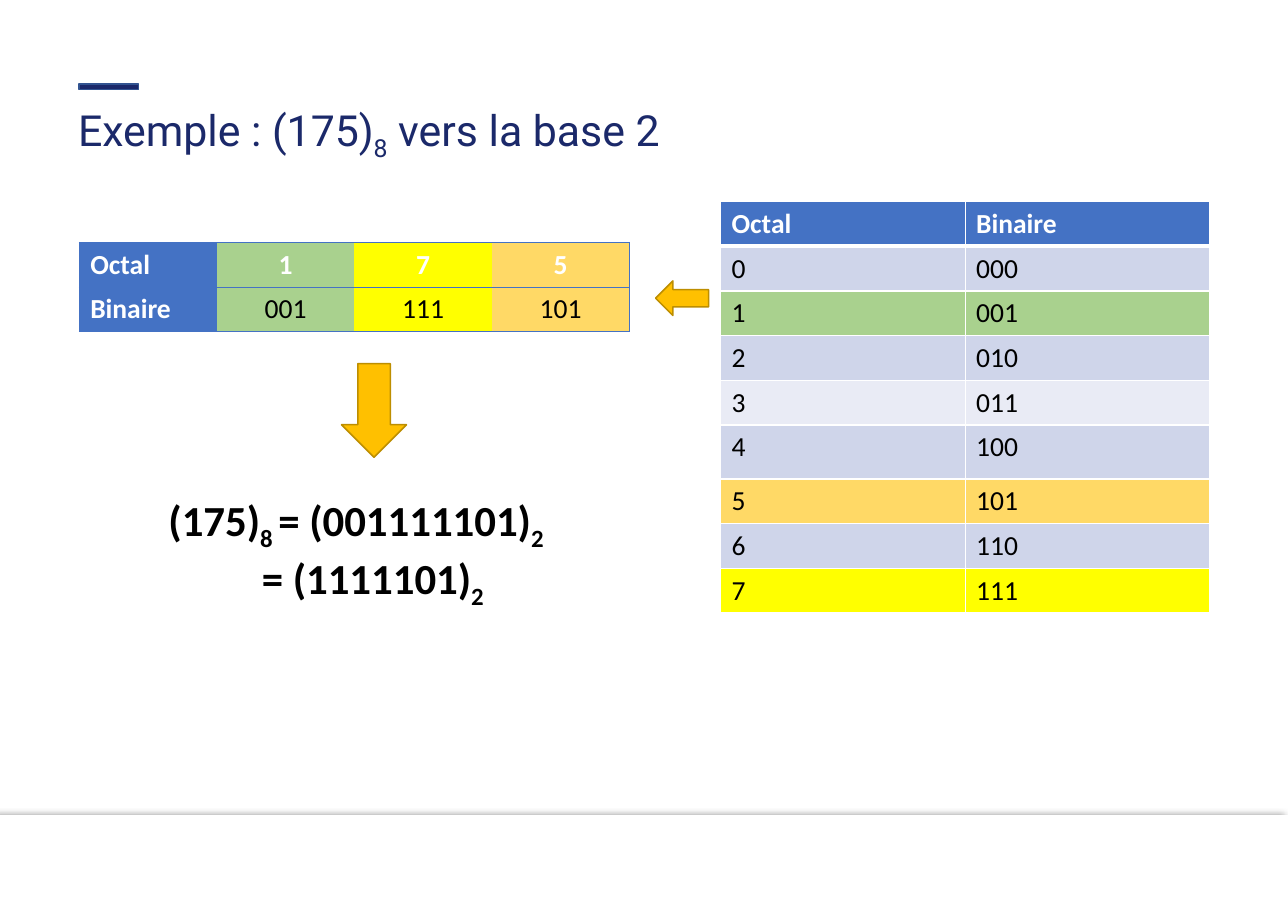
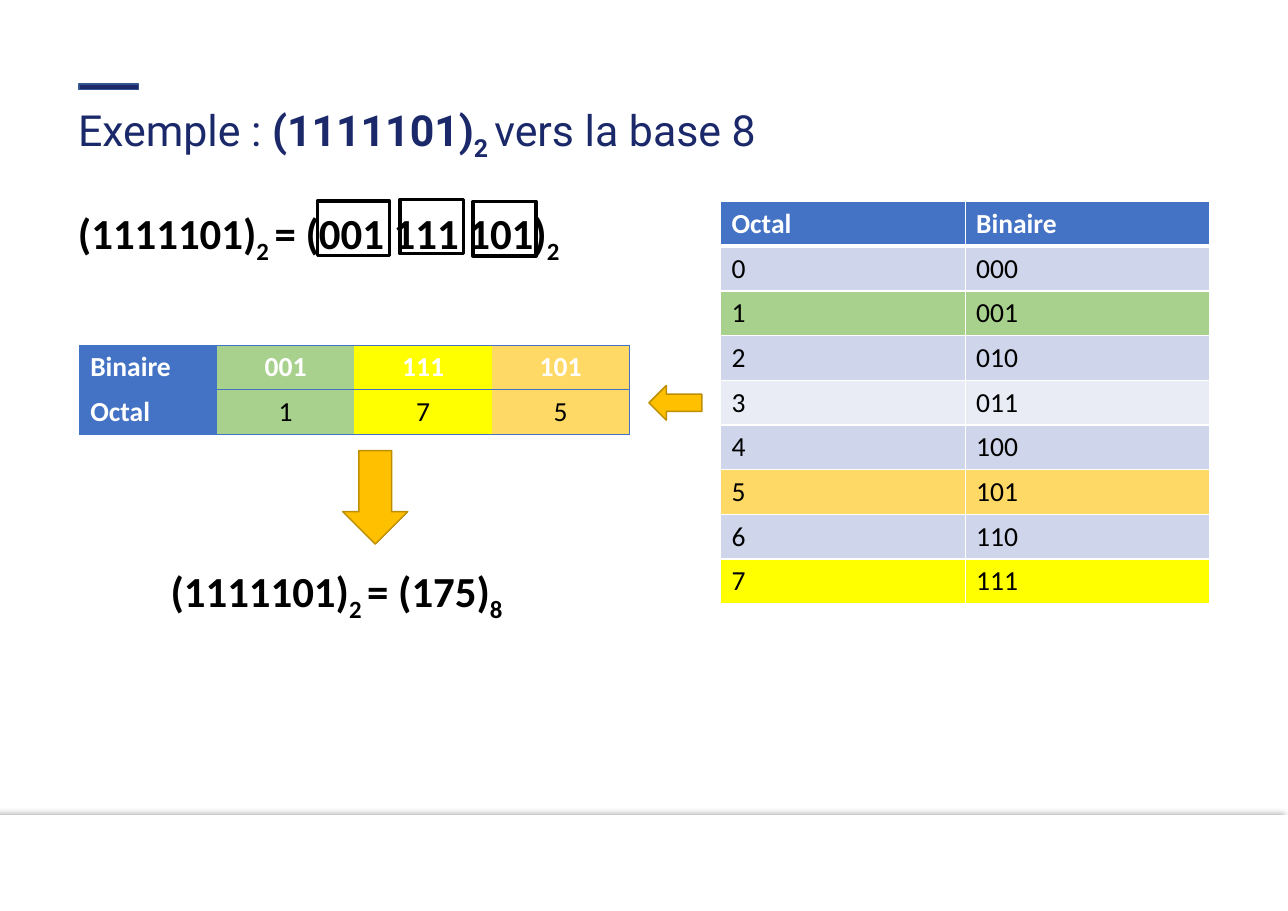
from dataclasses import dataclass

from pptx import Presentation
from pptx.dml.color import RGBColor as RGB
from pptx.enum.shapes import MSO_SHAPE as Form
from pptx.enum.text import PP_ALIGN as Align
from pptx.oxml import parse_xml
from pptx.oxml.ns import nsdecls
from pptx.util import Pt


@dataclass(frozen=True)
class Theme:
    navy: str = "1B296A"
    rim: str = "325491"
    blue: str = "4472C4"
    amber: str = "FFC000"
    brown: str = "BD8E00"
    white: str = "FFFFFF"
    black: str = "000000"
    bands: tuple = ("CFD5EA", "E9EBF5")
    marks: tuple = ((1, "A9D18E"), (7, "FFFF00"), (5, "FFD966"))
    head: str = "Roboto"
    body: str = "Calibri"
    big: int = 28
    mid: int = 18


T = Theme()
MARKS = dict(T.marks)
WIDE, HIGH = 841.68, 595.44
ROW = 29.2
PLAIN = "{2D5ABB26-0587-4C30-8999-92F81FD0307C}"
SHADE = (
    f'<a:effectLst {nsdecls("a")}><a:outerShdw blurRad="{Pt(4)}" dist="{Pt(3)}"'
    ' dir="10800000" algn="ctr" rotWithShape="0"><a:srgbClr val="000000">'
    '<a:alpha val="40000"/></a:srgbClr></a:outerShdw></a:effectLst>'
)


def rgb(code):
    return RGB.from_string(code)


def bits(digit):
    return format(digit, "03b")


def write(frame, text, size=T.big, font=T.body, color=T.black, bold=False,
          align=Align.LEFT, indent=0, lead=None, before=None):
    """Fill a text frame: *...* flips bold, _..._ is subscript.

    The indent moves every paragraph after the first.
    """
    frame.word_wrap = True
    for row, line in enumerate(text.split("\n")):
        par = frame.add_paragraph() if row else frame.paragraphs[0]
        par.alignment, par.line_spacing, par.space_before = align, lead, before
        if row and indent:
            par._p.get_or_add_pPr().set("marL", str(Pt(indent)))
        for turn, part in enumerate(line.split("*")):
            for low, piece in enumerate(part.split("_")):
                if not piece:
                    continue
                run = par.add_run()
                run.text = piece
                run.font.size, run.font.name = Pt(size), font
                run.font.color.rgb = rgb(color)
                run.font.bold = bold != bool(turn % 2)
                if low % 2:
                    run.font._element.set("baseline", "-25000")


def label(slide, box, text, **look):
    frame = slide.shapes.add_textbox(*map(Pt, box)).text_frame
    write(frame, text, **look)
    return frame


def shape(slide, form, box, fill=None, line=None, width=1, turn=0):
    item = slide.shapes.add_shape(form, *map(Pt, box))
    item.shadow.inherit = False
    item.rotation = turn
    if fill:
        item.fill.solid()
        item.fill.fore_color.rgb = rgb(fill)
    else:
        item.fill.background()
    if line:
        item.line.color.rgb = rgb(line)
        item.line.width = Pt(width)
    else:
        item.line.fill.background()
    return item


def arrow(slide, box, turn):
    shape(slide, Form.RIGHT_ARROW, box, T.amber, T.brown, turn=turn)


def grid(slide, x, y, wide, rows, cols):
    """Add an unstyled table with equal columns and rows."""
    table = slide.shapes.add_table(
        rows, cols, Pt(x), Pt(y), Pt(wide), Pt(ROW * rows)).table
    table._tbl.tblPr[0].text = PLAIN
    table.first_row = table.horz_banding = False
    return table


def paint(cell, text, fill, edges, **look):
    """Write, border and fill a cell; edges maps a side to (colour, width)."""
    props = cell._tc.get_or_add_tcPr()
    for side in "LRTB":
        if side in edges:
            color, width = edges[side]
            props.append(parse_xml(
                f'<a:ln{side} {nsdecls("a")} w="{Pt(width)}"><a:solidFill>'
                f'<a:srgbClr val="{color}"/></a:solidFill></a:ln{side}>'))
    cell.fill.solid()
    cell.fill.fore_color.rgb = rgb(fill)
    write(cell.text_frame, text, size=T.mid, **look)


def lookup(slide, x, y, tall=None):
    """Place the octal-to-binary table; tall maps a row to its height."""
    rows = [("Octal", "Binaire")] + [(str(d), bits(d)) for d in range(8)]
    table = grid(slide, x, y, 319.7, len(rows), 2)
    for r, row in enumerate(rows):
        table.rows[r].height = Pt((tall or {}).get(r, ROW))
        digit = r - 1
        fill = MARKS.get(digit, T.bands[digit % 2]) if r else T.blue
        edges = {side: (T.white, 1) for side in "LRTB"}
        if r < 2:
            edges["T" if r else "B"] = (T.white, 3)
        for c, text in enumerate(row):
            paint(table.cell(r, c), text, fill, edges, bold=not r,
                  color=T.black if r else T.white)


def digits(slide, x, y, flip=False):
    """Place the digit groups, octal first unless flipped."""
    rows = [["Octal", *map(str, MARKS)], ["Binaire", *map(bits, MARKS)]]
    if flip:
        rows.reverse()
    fills = [T.blue, *MARKS.values()]
    last = len(fills) - 1
    table = grid(slide, x, y, 359.6, len(rows), len(fills))
    for r, row in enumerate(rows):
        for c, text in enumerate(row):
            sides = "TB" + "L" * (c == 0) + "R" * (c == last)
            head = r == 0 or c == 0
            paint(table.cell(r, c), text, fills[c],
                  {side: (T.blue, 0.5) for side in sides}, bold=head,
                  color=T.white if head else T.black,
                  align=Align.CENTER if c else Align.LEFT)


def base(prs, title):
    """Add a slide with the shared band, bar and title."""
    slide = prs.slides.add_slide(prs.slide_layouts[6])
    top = 532.8
    band = shape(slide, Form.RECTANGLE, (0, top, WIDE, HIGH - top), T.white)
    props = band._element.spPr
    props.replace(props.find("{*}effectLst"), parse_xml(SHADE))
    shape(slide, Form.RECTANGLE, (51.6, 54.8, 39, 3.6), T.navy, T.rim)
    frame = label(slide, (43.9, 68.4, 746, 22.3), title, font=T.head,
                  color=T.navy, lead=0.9, before=Pt(10))
    frame.margin_top = 0
    return slide


def decode(prs):
    """Octal to binary."""
    slide = base(prs, "Exemple : (175)_8_ vers la base 2")
    digits(slide, 51.8, 158.4)
    lookup(slide, 470.9, 131.8, tall={5: 35.3})
    arrow(slide, (428.4, 183.6, 34.6, 22.6), 180)
    arrow(slide, (213.8, 247, 61.2, 42.5), 90)
    label(slide, (103, 319, 384.5, 75),
          "(175)_8 _= (001111101)_2_\n= (1111101)_2_", bold=True, indent=61)


def encode(prs):
    """Binary to octal."""
    slide = base(prs, "Exemple : *(1111101)_2 _*vers la base 8")
    digits(slide, 51.8, 225.6, flip=True)
    lookup(slide, 470.9, 131.8)
    arrow(slide, (424.1, 252, 34.6, 22.6), 180)
    arrow(slide, (214.6, 303.8, 61.2, 42.5), 90)
    label(slide, (104.4, 365.8, 384.5, 41), "(1111101)_2 _= (175)_8_", bold=True)
    label(slide, (43.9, 131.8, 360, 41),
          "(1111101)_2 _= (001 111 101)_2_", bold=True)
    for x, y, wide in ((207.4, 131.4, 47), (261.4, 130.4, 41.4), (309, 131.8, 41.4)):
        shape(slide, Form.RECTANGLE, (x, y, wide, 35.5), line=T.black, width=2.25)


def main():
    prs = Presentation()
    prs.slide_width, prs.slide_height = Pt(WIDE), Pt(HIGH)
    decode(prs)
    encode(prs)
    prs.save("out.pptx")


if __name__ == "__main__":
    main()
